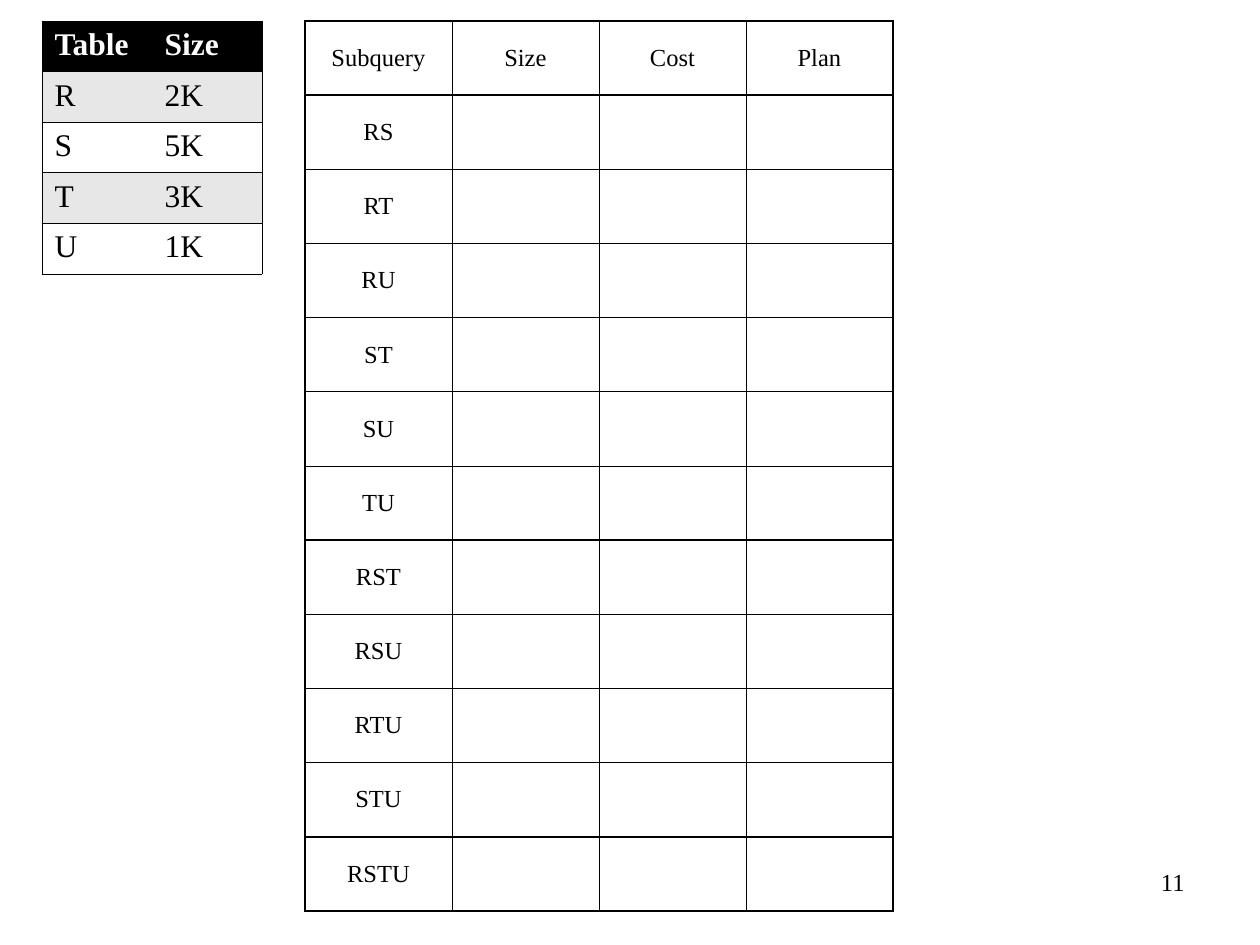
from dataclasses import dataclass
from typing import Optional

from lxml.etree import SubElement
from pptx import Presentation
from pptx.dml.color import RGBColor
from pptx.enum.text import MSO_ANCHOR, PP_ALIGN
from pptx.oxml.ns import qn
from pptx.util import Pt

EMU_PER_PX = 914400 / 126
FONT = "Times New Roman"
COLORS = {"ink": "000000", "paper": "FFFFFF", "band": "E7E7E7"}
THIN, THICK = 0.45, 1.08  # border widths in points


@dataclass(frozen=True)
class Area:
    left: int
    top: int
    width: int
    height: int

    def emu(self) -> tuple[int, ...]:
        return tuple(px(n) for n in (self.left, self.top, self.width, self.height))


def px(length: float) -> int:
    return round(length * EMU_PER_PX)


def rgb(name: str) -> RGBColor:
    return RGBColor.from_string(COLORS[name])


def write(frame, text: str, *, size: int, color: str = "ink", bold: bool = False,
          align: PP_ALIGN = PP_ALIGN.LEFT) -> None:
    para = frame.paragraphs[0]
    para.alignment = align
    span = para.add_run()
    span.text = text
    span.font.name, span.font.size, span.font.bold = FONT, Pt(size), bold
    span.font.color.rgb = rgb(color)


def set_borders(cell, **widths: Optional[float]) -> None:
    """Draw the sides L, R, T and B in that order; None hides a side."""
    properties = cell._tc.get_or_add_tcPr()
    for side, width in widths.items():
        line = SubElement(properties, qn(f"a:ln{side}"))
        if width is None:
            SubElement(line, qn("a:noFill"))
        else:
            line.set("w", str(Pt(width)))
            fill = SubElement(line, qn("a:solidFill"))
            SubElement(fill, qn("a:srgbClr")).set("val", COLORS["ink"])


def paint(cell, color: str) -> None:
    cell.fill.solid()
    cell.fill.fore_color.rgb = rgb(color)


def add_grid(page, area: Area, rows: int, columns: int):
    table = page.shapes.add_table(rows, columns, *area.emu()).table
    table.first_row = table.horz_banding = False
    for column in table.columns:
        column.width = px(area.width / columns)
    for row in table.rows:
        row.height = px(area.height / rows)
    return table


def add_plan_table(page, area: Area, headers: list[str], groups: list[list[str]]) -> None:
    """Worksheet grid with a thick rule below the header and each group."""
    names = [name for group in groups for name in group]
    ruled = {0}
    for group in groups:
        ruled.add(max(ruled) + len(group))
    last = len(headers) - 1
    table = add_grid(page, area, len(names) + 1, len(headers))
    for r, texts in enumerate([headers] + [[name] for name in names]):
        for c in range(len(headers)):
            cell = table.cell(r, c)
            cell.vertical_anchor = MSO_ANCHOR.MIDDLE
            set_borders(cell,
                        L=THICK if c == 0 else THIN,
                        R=THICK if c == last else THIN,
                        T=THICK if r == 0 or r - 1 in ruled else THIN,
                        B=THICK if r in ruled else THIN)
            paint(cell, "paper")
            if c < len(texts):
                write(cell.text_frame, texts[c], size=14, align=PP_ALIGN.CENTER)


def add_size_table(page, area: Area, records: list[tuple[str, str]]) -> None:
    """Banded list with a dark header and no line between its columns."""
    table = add_grid(page, area, len(records), 2)
    for r, record in enumerate(records):
        header = r == 0
        for c, text in enumerate(record):
            cell = table.cell(r, c)
            set_borders(cell, L=None if c else THIN, R=THIN if c else None,
                        T=THIN, B=THIN)
            paint(cell, "ink" if header else "band" if r % 2 else "paper")
            write(cell.text_frame, text, size=18, bold=header,
                  color="paper" if header else "ink")


def main() -> None:
    deck = Presentation()
    deck.slide_width, deck.slide_height = px(1260), px(945)
    page = deck.slides.add_slide(deck.slide_layouts[6])

    # Page number
    box = page.shapes.add_textbox(*Area(935, 861, 262, 63).emu())
    box.text_frame.word_wrap = True
    write(box.text_frame, "11", size=14, align=PP_ALIGN.RIGHT)

    # Subqueries, grouped by the number of joined tables
    add_plan_table(page, Area(305, 21, 588, 890),
                   ["Subquery", "Size", "Cost", "Plan"],
                   [["RS", "RT", "RU", "ST", "SU", "TU"],
                    ["RST", "RSU", "RTU", "STU"],
                    ["RSTU"]])

    # Base table sizes
    add_size_table(page, Area(42, 21, 220, 253),
                   [("Table", "Size"), ("R", "2K"), ("S", "5K"), ("T", "3K"), ("U", "1K")])

    deck.save("out.pptx")


if __name__ == "__main__":
    main()
